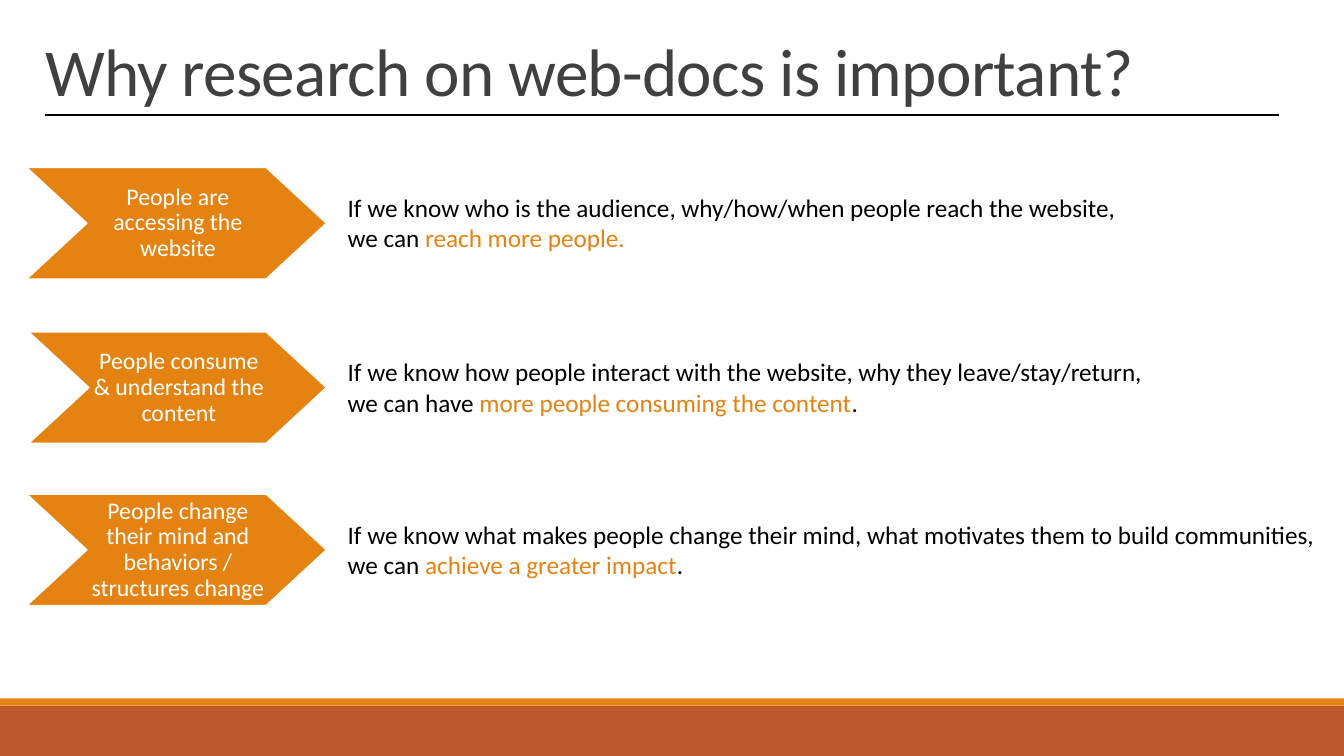
import pptx
import pptx.dml.color
import pptx.enum.shapes
import pptx.enum.text
import pptx.oxml.ns
import pptx.util
from lxml import etree

Inches, Pt = pptx.util.Inches, pptx.util.Pt
SHAPES = pptx.enum.shapes.MSO_SHAPE
ANCHOR = pptx.enum.text.MSO_ANCHOR
ALIGN = pptx.enum.text.PP_ALIGN

COLORS = {"orange": "E48312", "rust": "BD582C", "title": "404040",
          "black": "000000", "white": "FFFFFF"}
SLIDE_W, SLIDE_H = 13.33, 7.5
STAGE_H, STAGE_RIGHT, POINT_DEPTH = 1.11, 3.24, 0.6

# Left edge and top of the stage, its label, then the condition and the gain
STAGES = [
    (0.26, 1.66, "People are accessing the website",
     "If we know who is the audience, why/how/when people reach the website,",
     "we can ", "reach more people.", ""),
    (0.28, 3.29, "People consume & understand the content",
     "If we know how people interact with the website, why they leave/stay/return,",
     "we can have ", "more people consuming the content", "."),
    (0.26, 4.9, "People change their mind and behaviors / structures change",
     "If we know what makes people change their mind, what motivates them to build communities,",
     "we can ", "achieve a greater impact", "."),
]

TITLE_FRAME = {"word_wrap": True, "vertical_anchor": ANCHOR.BOTTOM}
STAGE_FRAME = {"word_wrap": True, "vertical_anchor": ANCHOR.MIDDLE,
               "margin_left": Inches(0.03), "margin_right": 0,
               "margin_top": Inches(0.02), "margin_bottom": Inches(0.02)}
REASON_FRAME = {"word_wrap": False, "vertical_anchor": ANCHOR.TOP}


def apply(target, formats):
    for name, value in formats.items():
        setattr(target, name, value)


def rgb(color):
    return pptx.dml.color.RGBColor.from_string(COLORS[color])


def add_run(paragraph, text, size, color):
    run = paragraph.add_run()
    run.text = text
    apply(run.font, {"name": "Calibri", "size": Pt(size)})
    run.font.color.rgb = rgb(color)
    return run


def add_filled(slide, preset, box, color):
    shape = slide.shapes.add_shape(preset, *map(Inches, box))
    shape.shadow.inherit = False
    shape.fill.solid()
    shape.fill.fore_color.rgb = rgb(color)
    shape.line.fill.background()
    return shape


def add_footer(slide, left, top, width, height):
    stripe = 0.07
    add_filled(slide, SHAPES.RECTANGLE, (left, top + stripe, width, height - stripe), "rust")
    add_filled(slide, SHAPES.RECTANGLE, (left, top, width, stripe), "orange")


def add_title(slide, left, top, width, height):
    title = slide.shapes.add_textbox(*map(Inches, (left, top, width, height)))
    apply(title.text_frame, TITLE_FRAME)
    heading = title.text_frame.paragraphs[0]
    heading.line_spacing = 0.85
    run = add_run(heading, "Why research on web-docs is important?", 48, "title")
    run.font._element.set("spc", "-50")

    # Rule under the title
    rule_left, rule_y = left + 0.1, top + height
    rule = slide.shapes.add_connector(
        pptx.enum.shapes.MSO_CONNECTOR.STRAIGHT,
        *map(Inches, (rule_left, rule_y, rule_left + 12.24, rule_y)))
    rule.line.color.rgb = rgb("black")
    rule.line.width = Pt(1)
    etree.SubElement(rule._element.spPr, pptx.oxml.ns.qn("a:effectLst"))


def add_stage(slide, left, top, width, height, label):
    stage = add_filled(slide, SHAPES.CHEVRON, (left, top, width, height), "orange")
    stage.adjustments[0] = POINT_DEPTH / height
    stage.line.color.rgb = rgb("white")
    stage.line.width = Pt(1.25)
    apply(stage.text_frame, STAGE_FRAME)
    paragraph = stage.text_frame.paragraphs[0]
    apply(paragraph, {"alignment": ALIGN.CENTER, "line_spacing": 0.9})
    add_run(paragraph, label, 17, "white")


def add_reason(slide, left, top, width, height, condition, lead, gain, ending):
    reason = slide.shapes.add_textbox(*map(Inches, (left, top, width, height)))
    apply(reason.text_frame, REASON_FRAME)
    add_run(reason.text_frame.paragraphs[0], condition, 18, "black")
    outcome = reason.text_frame.add_paragraph()
    add_run(outcome, lead, 18, "black")
    add_run(outcome, gain, 18, "orange")
    if ending:
        add_run(outcome, ending, 18, "black")


def main():
    deck = pptx.Presentation()
    apply(deck, {"slide_width": Inches(SLIDE_W), "slide_height": Inches(SLIDE_H)})
    slide = deck.slides.add_slide(deck.slide_layouts[6])

    add_footer(slide, 0, 6.93, SLIDE_W, SLIDE_H - 6.93)
    add_title(slide, 0.35, 0.18, 11, 0.96)

    # Each stage with its reason centred beside it
    reason_h = 0.71
    for left, top, label, *reason in STAGES:
        add_stage(slide, left, top, STAGE_RIGHT - left, STAGE_H, label)
        add_reason(slide, STAGE_RIGHT + 0.11, top + (STAGE_H - reason_h) / 2,
                   9.91, reason_h, *reason)

    deck.save("out.pptx")


if __name__ == "__main__":
    main()
